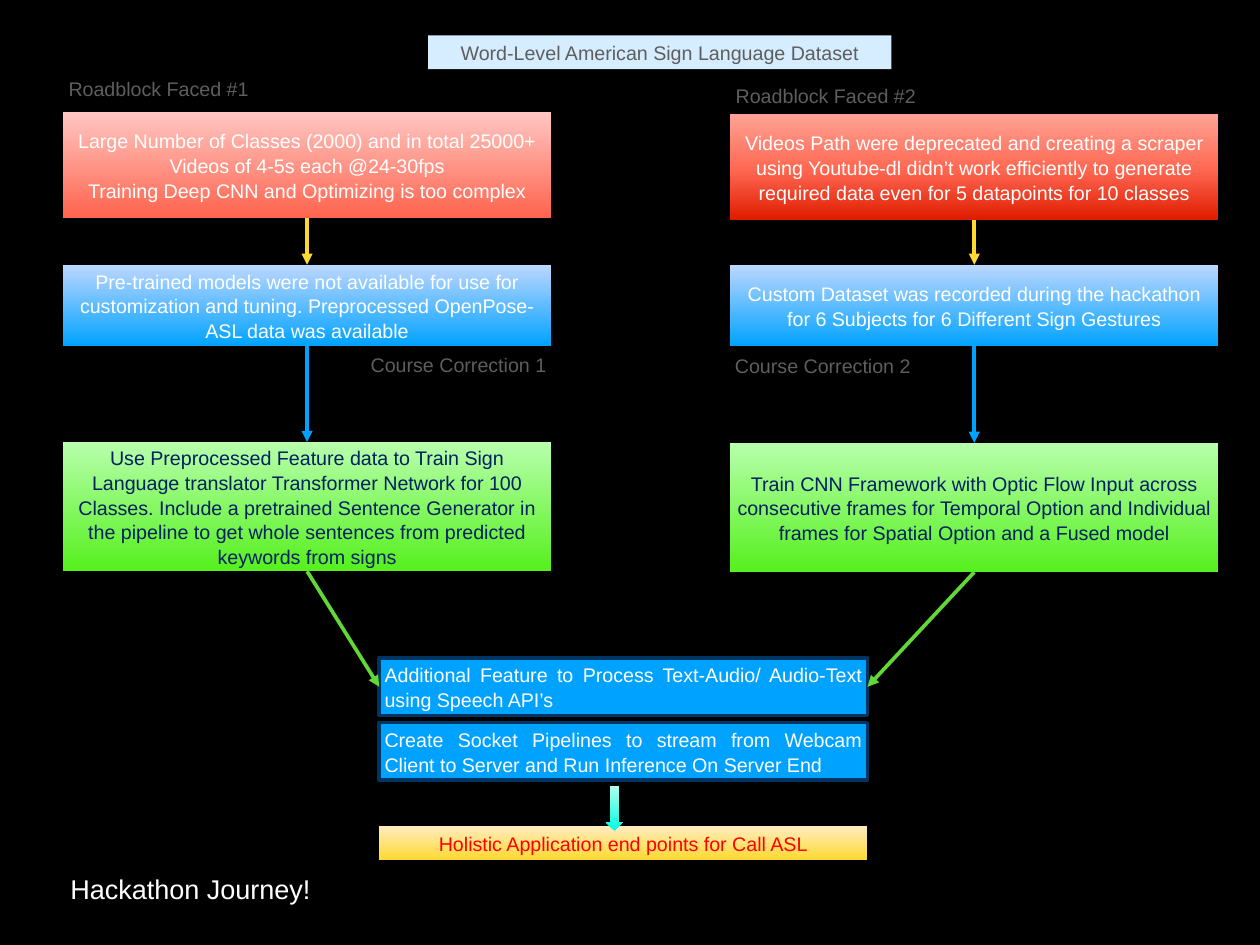
from copy import deepcopy

from lxml.etree import SubElement
from pptx import Presentation
from pptx.dml.color import RGBColor
from pptx.enum.shapes import MSO_CONNECTOR as Connector, MSO_SHAPE as Shape
from pptx.enum.text import MSO_ANCHOR as Anchor, PP_ALIGN as Align
from pptx.oxml.ns import qn
from pptx.util import Inches, Pt

WIDTH, HEIGHT = Inches(14.22), Inches(10.67)
COLORS = {
    "black": "000000", "white": "FFFFFF", "gray": "5E5E5E", "navy": "002060",
    "red": "FF0000", "pale": "D6ECFF", "blue": "00A2FF", "dark blue": "003462",
    "yellow": "FFD932", "green": "61D836",
}
# Gradient stops run from the bottom of a shape to its top
GRADIENTS = {
    "coral": [(0, "FF644E"), (1, "FFC6C2")],
    "crimson": [(0, "DF1C00"), (0.48, "FF6953"), (1, "FFA295")],
    "sky": [(0, "00A2FF"), (1, "BDD7FF")],
    "lime": [(0, "56F01E"), (1, "B8FFAC")],
    "gold": [(0, "FFD932"), (1, "FFEDBF")],
    "aqua": [(0, "00FDE0"), (1, "B1FFF0")],
}
BOX_WIDTH = 38.75
TOP, LEFT, BOTTOM, RIGHT = range(4)  # connection sites of a rectangle


def rgb(name):
    return RGBColor.from_string(COLORS[name])


def write(shape, text, size=16, color="white", align=Align.CENTER):
    """Set one paragraph per line of text, all in the same format."""
    frame = shape.text_frame
    frame.word_wrap = True
    frame.vertical_anchor = Anchor.MIDDLE
    frame.margin_left = frame.margin_right = Inches(0.06)
    frame.margin_top = frame.margin_bottom = Inches(0.06)
    frame.text = text
    for paragraph in frame.paragraphs:
        paragraph.alignment = align
        paragraph.line_spacing = 1.05
        font = paragraph.font
        font.name, font.size = "Arial", Pt(size)
        font.color.rgb = rgb(color)


class JourneySlide:
    """Draws on one slide; lengths are percent of its width or height."""

    def __init__(self, presentation):
        self.slide = presentation.slides.add_slide(presentation.slide_layouts[6])
        background = self.slide.background.fill
        background.solid()
        background.fore_color.rgb = rgb("black")

    def place(self, left, top, width, height):
        return (int(WIDTH * left / 100), int(HEIGHT * top / 100),
                int(WIDTH * width / 100), int(HEIGHT * height / 100))

    def fill(self, shape, name):
        if name in COLORS:
            shape.fill.solid()
            shape.fill.fore_color.rgb = rgb(name)
            return
        shape.fill.gradient()
        shape.fill.gradient_angle = 90
        stops = GRADIENTS[name]
        stop_list = next(shape.element.iter(qn("a:gsLst")))
        for _ in stops[2:]:
            stop_list.append(deepcopy(stop_list[0]))
        for stop, (position, color) in zip(shape.fill.gradient_stops, stops):
            stop.position = position
            stop.color.rgb = RGBColor.from_string(color)

    def box(self, place, fill, text="", outline=None, kind=Shape.RECTANGLE, **text_format):
        shape = self.slide.shapes.add_shape(kind, *self.place(*place))
        shape.shadow.inherit = False
        self.fill(shape, fill)
        if outline:
            shape.line.color.rgb = rgb(outline)
            shape.line.width = Pt(3)
        else:
            shape.line.fill.background()
        if text:
            write(shape, text, **text_format)
        return shape

    def label(self, left, top, width, text):
        write(self.slide.shapes.add_textbox(*self.place(left, top, width, 3.56)),
              text, color="gray")

    def arrow(self, start, end, color, end_site=TOP):
        line = self.slide.shapes.add_connector(Connector.STRAIGHT, 0, 0, 0, 0)
        line.begin_connect(start, BOTTOM)
        line.end_connect(end, end_site)
        line.line.color.rgb = rgb(color)
        line.line.width = Pt(3)
        SubElement(line.line._get_or_add_ln(), qn("a:tailEnd"), type="triangle")
        SubElement(line.element.spPr, qn("a:effectLst"))


def main():
    presentation = Presentation()
    presentation.slide_width, presentation.slide_height = WIDTH, HEIGHT
    journey = JourneySlide(presentation)

    # Dataset heading
    journey.box((33.97, 3.75, 36.78, 3.56), "pale",
                "Word-Level American Sign Language Dataset", color="gray")

    # Labels beside the two tracks
    for left, top, width, text in [
        (4.22, 7.5, 16.74, "Roadblock Faced #1"),
        (57.17, 8.25, 16.74, "Roadblock Faced #2"),
        (28.83, 36.74, 15.12, "Course Correction 1"),
        (57.74, 36.83, 15.12, "Course Correction 2"),
    ]:
        journey.label(left, top, width, text)

    # Shared features where the tracks meet
    features = [
        journey.box((30.1, 69.63 + 6.84 * row, BOX_WIDTH, 6.09), "blue", text,
                    outline="dark blue", align=Align.JUSTIFY)
        for row, text in enumerate([
            "Additional Feature to Process Text-Audio/ Audio-Text using Speech API’s",
            "Create Socket Pipelines to stream from Webcam Client to Server "
            "and Run Inference On Server End",
        ])
    ]

    # Two tracks: roadblock, workaround, course correction
    tracks = [
        (5, 11.9, 46.77, "coral", LEFT,
         "Large Number of Classes (2000) and in total 25000+ Videos of 4-5s each "
         "@24-30fps\nTraining Deep CNN and Optimizing is too complex",
         "Pre-trained models were not available for use for customization and "
         "tuning. Preprocessed OpenPose-ASL data was available",
         "Use Preprocessed Feature data to Train Sign Language translator "
         "Transformer Network for 100 Classes. Include a pretrained Sentence "
         "Generator in the pipeline to get whole sentences from predicted "
         "keywords from signs"),
        (57.95, 12.09, 46.86, "crimson", RIGHT,
         "Videos Path were deprecated and creating a scraper using Youtube-dl "
         "didn’t work efficiently to generate required data even for 5 "
         "datapoints for 10 classes",
         "Custom Dataset was recorded during the hackathon for 6 Subjects for "
         "6 Different Sign Gestures",
         "Train CNN Framework with Optic Flow Input across consecutive frames "
         "for Temporal Option and Individual frames for Spatial Option and a "
         "Fused model"),
    ]
    for left, first_top, last_top, fill, side, problem, workaround, solution in tracks:
        roadblock = journey.box((left, first_top, BOX_WIDTH, 11.15), fill, problem)
        detour = journey.box((left, 28.02, BOX_WIDTH, 8.62), "sky", workaround)
        correction = journey.box((left, last_top, BOX_WIDTH, 13.68), "lime", solution,
                                 color="navy")
        journey.arrow(roadblock, detour, "yellow")
        journey.arrow(detour, correction, "blue")
        journey.arrow(correction, features[0], "green", end_site=side)

    # Final result and slide title
    journey.box((30.1, 87.44, BOX_WIDTH, 3.56), "gold",
                "Holistic Application end points for Call ASL", color="red")
    journey.box((48.1, 83.13, 1.34, 4.78), "aqua", kind=Shape.DOWN_ARROW)
    journey.box((3.02, 91.75, 24.19, 4.5), "black", "Hackathon Journey!", size=22)

    presentation.save("out.pptx")


if __name__ == "__main__":
    main()
